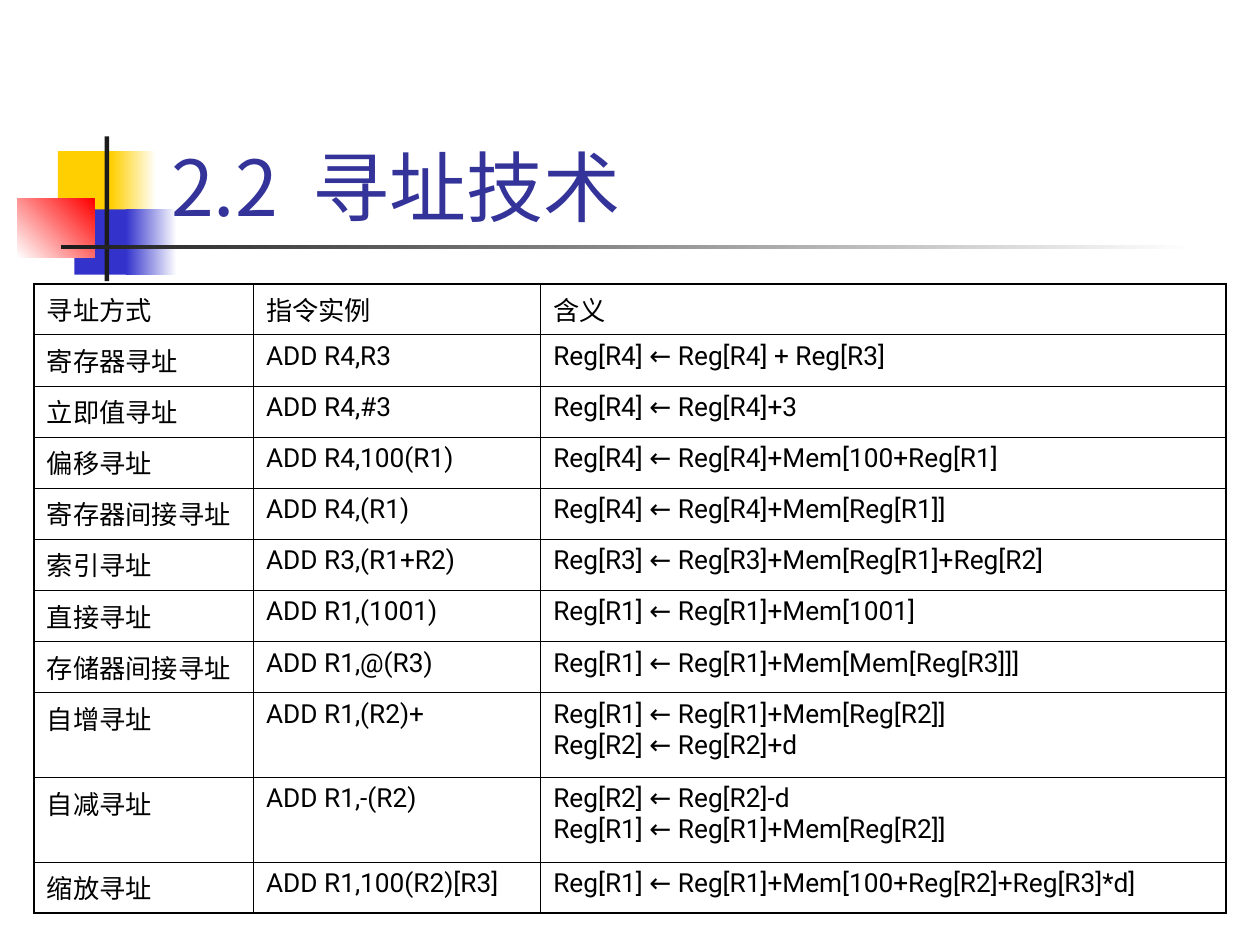
"""Build the slide on addressing modes: title, corner ornament and table."""
from lxml.etree import SubElement
from pptx import Presentation
from pptx.dml.color import RGBColor
from pptx.enum.shapes import MSO_SHAPE
from pptx.enum.text import MSO_ANCHOR
from pptx.oxml.ns import qn
from pptx.util import Cm, Pt

COLORS = {"yellow": "FFCF01", "blue": "3333CC", "red": "FF0000", "dark": "1C1C1C",
          "white": "FFFFFF", "black": "000000", "title": "333399"}
LATIN, CJK = "Roboto", "Noto Sans CJK SC"

TITLE = [("2.2", 0), (" ", 9.8), ("寻址技术", 0)]

ORNAMENT = [
    ((1.17, 3.05, 1.22, 1.32), ("yellow",), 0),
    ((2.24, 3.05, 0.91, 1.32), ("yellow", "white"), 0),
    ((1.5, 4.22, 1.17, 1.32), ("blue",), 0),
    ((2.54, 4.22, 1.02, 1.32), ("blue", "white"), 0),
    ((0.35, 4.01, 1.56, 1.18), ("white", "red"), 45),
    ((2.11, 2.75, 0.09, 2.92), ("dark",), 0),
    ((1.23, 4.94, 22.86, 0.09), ("dark", "white"), 0),
]

ROWS = [
    ("寻址方式", "指令实例", "含义"),
    ("寄存器寻址", "ADD R4,R3", "Reg[R4] ← Reg[R4] + Reg[R3]"),
    ("立即值寻址", "ADD R4,#3", "Reg[R4] ← Reg[R4]+3"),
    ("偏移寻址", "ADD R4,100(R1)", "Reg[R4] ← Reg[R4]+Mem[100+Reg[R1]"),
    ("寄存器间接寻址", "ADD R4,(R1)", "Reg[R4] ← Reg[R4]+Mem[Reg[R1]]"),
    ("索引寻址", "ADD R3,(R1+R2)", "Reg[R3] ← Reg[R3]+Mem[Reg[R1]+Reg[R2]"),
    ("直接寻址", "ADD R1,(1001)", "Reg[R1] ← Reg[R1]+Mem[1001]"),
    ("存储器间接寻址", "ADD R1,@(R3)", "Reg[R1] ← Reg[R1]+Mem[Mem[Reg[R3]]]"),
    ("自增寻址", "ADD R1,(R2)+", "Reg[R1] ← Reg[R1]+Mem[Reg[R2]]\nReg[R2] ← Reg[R2]+d"),
    ("自减寻址", "ADD R1,-(R2)", "Reg[R2] ← Reg[R2]-d\nReg[R1] ← Reg[R1]+Mem[Reg[R2]]"),
    ("缩放寻址", "ADD R1,100(R2)[R3]", "Reg[R1] ← Reg[R1]+Mem[100+Reg[R2]+Reg[R3]*d]"),
]
COL_WIDTHS = (4.42, 5.79, 13.81)
ROW_HEIGHT, TALL_HEIGHT = 1.03, 1.71
INNER, OUTER = 0.45, 1.08


def rgb(name):
    return RGBColor.from_string(COLORS[name])


def add_text(p, text, size=15, font=LATIN, color="black", spacing=0):
    r = p.add_run()
    r.text = text
    r.font.size, r.font.name, r.font.color.rgb = Pt(size), font, rgb(color)
    rPr = r.font._element
    SubElement(rPr, qn("a:ea")).set("typeface", CJK)
    if spacing:
        rPr.set("spc", str(round(spacing * 100)))


def add_block(slide, box, colors, angle):
    sp = slide.shapes.add_shape(MSO_SHAPE.RECTANGLE, *map(Cm, box))
    sp.shadow.inherit = False
    sp.line.fill.background()
    if len(colors) == 1:
        sp.fill.solid()
        sp.fill.fore_color.rgb = rgb(colors[0])
        return
    sp.fill.gradient()
    sp.fill.gradient_angle = angle
    for stop, name in zip(sp.fill.gradient_stops, colors):
        stop.color.rgb = rgb(name)


def set_borders(cell, widths):
    tcPr = cell._tc.get_or_add_tcPr()
    for side, width in widths.items():
        ln = SubElement(tcPr, qn(f"a:ln{side}"), w=str(Pt(width)))
        fill = SubElement(ln, qn("a:solidFill"))
        SubElement(fill, qn("a:srgbClr"), val=COLORS["black"])


def add_table(slide):
    n_rows, n_cols = len(ROWS), len(COL_WIDTHS)
    heights = [TALL_HEIGHT if "\n" in row[-1] else ROW_HEIGHT for row in ROWS]
    table = slide.shapes.add_table(n_rows, n_cols, Cm(0.69), Cm(5.72),
                                   Cm(sum(COL_WIDTHS)), Cm(sum(heights))).table
    table.first_row = table.horz_banding = False
    for col, width in zip(table.columns, COL_WIDTHS):
        col.width = Cm(width)
    for i, (row, height) in enumerate(zip(ROWS, heights)):
        table.rows[i].height = Cm(height)
        for j, text in enumerate(row):
            cell = table.cell(i, j)
            edges = {"L": j == 0, "R": j == n_cols - 1, "T": i == 0, "B": i == n_rows - 1}
            set_borders(cell, {side: OUTER if edge else INNER for side, edge in edges.items()})
            cell.fill.background()
            tf = cell.text_frame
            for k, line in enumerate(text.split("\n")):
                add_text(tf.add_paragraph() if k else tf.paragraphs[0], line)


def add_title(slide):
    tf = slide.shapes.add_textbox(Cm(3.2), Cm(2.39), Cm(18.82), Cm(2.29)).text_frame
    tf.word_wrap = True
    tf.vertical_anchor = MSO_ANCHOR.BOTTOM
    tf.margin_top = tf.margin_bottom = 0
    for text, spacing in TITLE:
        add_text(tf.paragraphs[0], text, size=44, font=CJK, color="title", spacing=spacing)


def main():
    prs = Presentation()
    prs.slide_width, prs.slide_height = Cm(25.4), Cm(19.05)
    slide = prs.slides.add_slide(prs.slide_layouts[6])
    for box, colors, angle in ORNAMENT:
        add_block(slide, box, colors, angle)
    add_table(slide)
    add_title(slide)
    prs.save("out.pptx")


if __name__ == "__main__":
    main()
